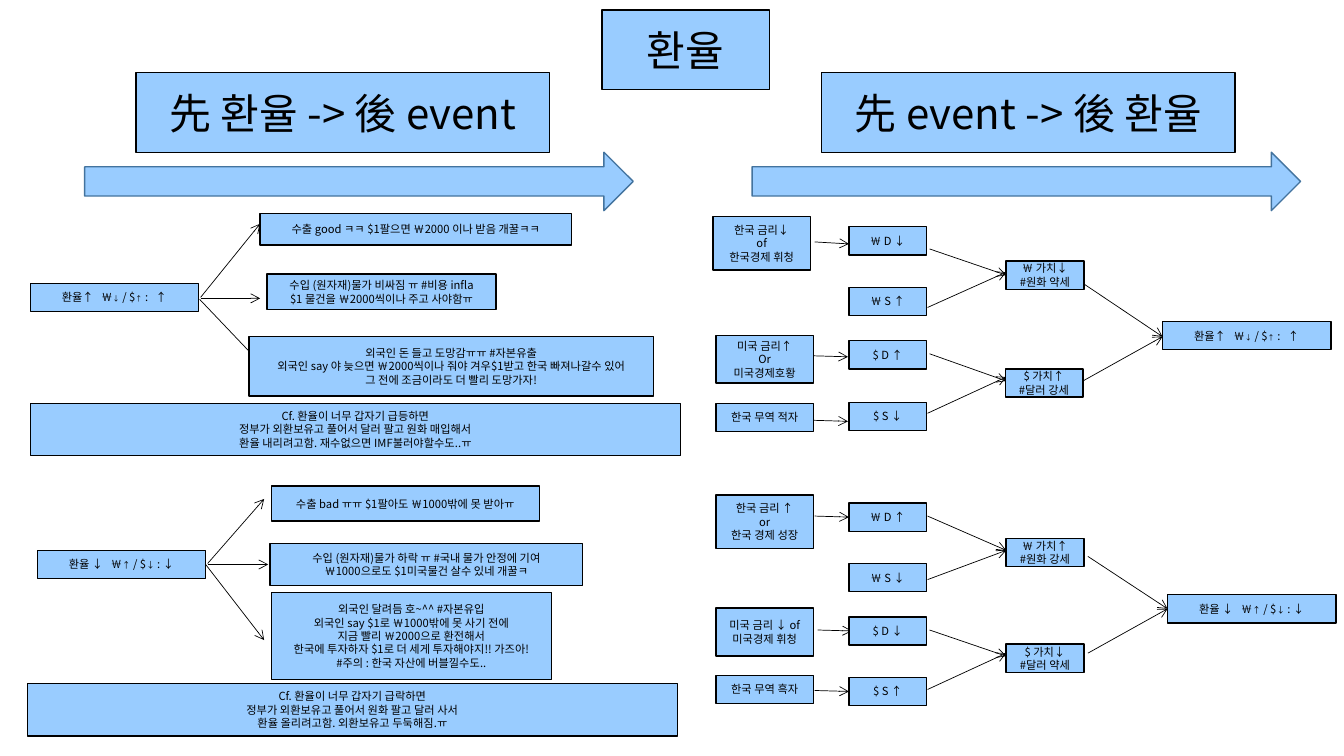
from pptx import Presentation
from pptx.dml.color import RGBColor
from pptx.enum.shapes import MSO_CONNECTOR as Link, MSO_SHAPE as Form
from pptx.enum.text import MSO_ANCHOR as Anchor, MSO_AUTO_SIZE as Auto, PP_ALIGN as Align
from pptx.oxml.ns import qn
from pptx.util import Inches, Pt
from lxml.etree import SubElement as Sub

HEADS = [(8.15, "先 event -> 後 환율"), (1.35, "先 환율 -> 後 event")]
FLOWS = [7.46, 0.84]

MONEY = [
    (2.25, "￦ D ↓"), (2.85, "￦ S ↑"), (3.38, "$ D ↑"), (3.99, "$ S ↓"),
    (4.99, "￦ D ↑"), (5.59, "￦ S ↓"), (6.12, "$ D ↓"), (6.72, "$ S ↑"),
]
VALUES = [
    (9.98, 2.59, "￦ 가치↓\n#원화 약세"), (9.97, 3.66, "$ 가치↑\n#달러 강세"),
    (9.98, 5.34, "￦ 가치↑\n#원화 강세"), (9.98, 6.39, "$ 가치↓\n#달러 약세"),
]
CAUSES = [
    (7.07, 2.15, 0.53, "한국 금리↓\nof\n한국경제 휘청"),
    (7.1, 3.33, 0.47, "미국 금리↑\nOr\n미국경제호황"),
    (7.1, 4, 0.28, "한국 무역 적자"),
    (7.1, 4.91, 0.53, "한국 금리 ↑\nor\n한국 경제 성장"),
    (7.1, 6.03, 0.48, "미국 금리 ↓ of\n미국경제 휘청"),
    (7.1, 6.7, 0.28, "한국 무역 흑자"),
]
EFFECTS = [
    (2.58, 2.12, 3.09, 0.31, "수출 good ㅋㅋ $1팔으면 ￦2000 이나 받음 개꿀ㅋㅋ"),
    (2.65, 2.72, 2.27, 0.35,
     "수입 (원자재)물가 비싸짐 ㅠ #비용 infla\n$1 물건을 ￦2000씩이나 주고 사야함ㅠ"),
    (2.47, 3.34, 4.01, 0.59,
     "외국인 돈 들고 도망감ㅠㅠ #자본유출\n"
     "외국인 say 야 늦으면 ￦2000씩이나 줘야 겨우$1받고 한국 빠져나갈수 있어\n"
     "그 전에 조금이라도 더 빨리 도망가자!"),
    (0.3, 4, 6.45, 0.52,
     "Cf. 환율이 너무 갑자기 급등하면\n"
     "정부가 외환보유고 풀어서 달러 팔고 원화 매입해서\n"
     "환율 내리려고함. 재수없으면 IMF불러야할수도..ㅠ"),
    (2.69, 4.82, 2.66, 0.35, "수출 bad ㅠㅠ $1팔아도 ￦1000밖에 못 받아ㅠ"),
    (2.68, 5.39, 3.1, 0.42,
     "수입 (원자재)물가 하락 ㅠ #국내 물가 안정에 기여\n"
     "￦1000으로도 $1미국물건 살수 있네 개꿀ㅋ"),
    (2.69, 5.88, 2.78, 0.86,
     "외국인 달려듬 호~^^ #자본유입\n"
     "외국인 say $1로 ￦1000밖에 못 사기 전에\n"
     "지금 빨리 ￦2000으로 환전해서\n"
     "한국에 투자하자 $1로 더 세게 투자해야지!! 가즈아!\n"
     "#주의 : 한국 자산에 버블낄수도.."),
    (0.27, 6.78, 6.45, 0.52,
     "Cf. 환율이 너무 갑자기 급락하면\n"
     "정부가 외환보유고 풀어서 원화 팔고 달러 사서\n"
     "환율 올리려고함. 외환보유고 두둑해짐.ㅠ"),
]
GAP = (" ", 8, 360)
RISE = [("환율↑", 8, 0), GAP, ("￦", 8, 0), ("↓", 5, 0), (" / $", 8, 0),
        ("↑", 5, 0), (" :", 8, 0), GAP, ("↑", 8, 0)]
FALL = [("환율 ↓", 8, 0), GAP, ("￦", 8, 0), ("↑", 6, 0), (" / $", 8, 0),
        ("↓", 6, 0), (" : ↓", 8, 0)]
RATES = [(11.53, 3.19, RISE), (11.58, 5.9, FALL), (0.3, 2.81, RISE), (0.37, 5.46, FALL)]

LINKS = [
    (9.98, 2.7, 9.2, 3.05), (9.98, 2.73, 9.22, 2.47),
    (9.98, 3.74, 9.2, 4.1), (9.98, 3.78, 9.22, 3.51),
    (9.98, 5.46, 9.2, 5.75), (9.98, 5.46, 9.2, 5.12),
    (9.98, 6.48, 9.2, 6.84), (9.98, 6.51, 9.22, 6.25),
    (11.53, 3.34, 10.74, 3.78), (11.53, 3.34, 10.74, 2.81),
    (11.58, 6.04, 10.79, 6.48), (11.58, 6.04, 10.79, 5.52),
    (8.42, 2.42, 8.08, 2.4), (8.41, 3.54, 8.07, 3.53), (8.41, 4.18, 8.07, 4.17),
    (8.42, 5.13, 8.08, 5.12), (8.45, 6.26, 8.11, 6.25), (8.42, 6.86, 8.08, 6.85),
    (2.58, 2.22, 1.99, 2.95), (2.58, 2.96, 1.99, 2.96), (2.58, 3.6, 1.98, 2.97),
    (2.62, 4.95, 2.06, 5.59), (2.66, 5.6, 2.06, 5.6), (2.62, 6.35, 2.04, 5.6),
]


def color(code):
    return RGBColor.from_string(code)


def write(frame, text, size=8, font="Noto Sans CJK KR", ink="000000"):
    frame.word_wrap = True
    frame.auto_size = Auto.NONE
    frame.vertical_anchor = Anchor.MIDDLE
    lines = [[(line, size, 0)] for line in text.split("\n")] if isinstance(text, str) else [text]
    for i, line in enumerate(lines):
        para = frame.add_paragraph() if i else frame.paragraphs[0]
        para.alignment = Align.CENTER
        for words, points, space in line:
            run = para.add_run()
            run.text = words
            run.font.size = Pt(points)
            run.font.name = font
            run.font.color.rgb = color(ink)
            props = run.font._element
            Sub(props, qn("a:ea")).set("typeface", font)
            if space:
                props.set("spc", str(space))


class Board:
    fill = "99CCFF"
    ink = "000000"
    edge = "43739E"

    def __init__(self, slide):
        self.slide = slide

    def paint(self, shape, line):
        shape.fill.solid()
        shape.fill.fore_color.rgb = color(self.fill)
        shape.line.color.rgb = color(line)
        shape.line.width = Pt(1)

    def title(self, x, y, w, h, text):
        shape = self.slide.shapes.title
        shape.left, shape.top, shape.width, shape.height = map(Inches, (x, y, w, h))
        self.paint(shape, self.ink)
        write(shape.text_frame, text, size=30)

    def shape(self, form, x, y, w, h, line):
        shape = self.slide.shapes.add_shape(form, *map(Inches, (x, y, w, h)))
        shape.shadow.inherit = False
        self.paint(shape, line)
        return shape

    def box(self, x, y, w, h, text, size=8):
        shape = self.shape(Form.FLOWCHART_PROCESS, x, y, w, h, self.ink)
        write(shape.text_frame, text, size=size)

    def flow(self, x, y, w, h):
        self.shape(Form.RIGHT_ARROW, x, y, w, h, self.edge)

    def link(self, *ends):
        line = self.slide.shapes.add_connector(Link.STRAIGHT, *map(Inches, ends))
        line.line.color.rgb = color(self.ink)
        line.line.width = Pt(0.5)
        Sub(line.line._get_or_add_ln(), qn("a:headEnd")).set("type", "arrow")
        Sub(line._element.spPr, qn("a:effectLst"))


def main():
    deck = Presentation()
    deck.slide_width, deck.slide_height = Inches(13.33), Inches(7.5)
    board = Board(deck.slides.add_slide(deck.slide_layouts[5]))
    board.title(5.97, 0.1, 1.66, 0.79, "환율")
    for x, text in HEADS:
        board.box(x, 0.72, 4.1, 0.79, text, size=30)
    for x in FLOWS:
        board.flow(x, 1.51, 5.44, 0.58)
    for ends in LINKS:
        board.link(*ends)
    for y, text in MONEY:
        board.box(8.42, y, 0.77, 0.28, text)
    for x, y, text in VALUES:
        board.box(x, y, 0.77, 0.28, text)
    for x, y, h, text in CAUSES:
        board.box(x, y, 0.97, h, text)
    for x, y, text in RATES:
        board.box(x, y, 1.67, 0.28, text)
    for item in EFFECTS:
        board.box(*item)
    deck.save("out.pptx")


if __name__ == "__main__":
    main()
